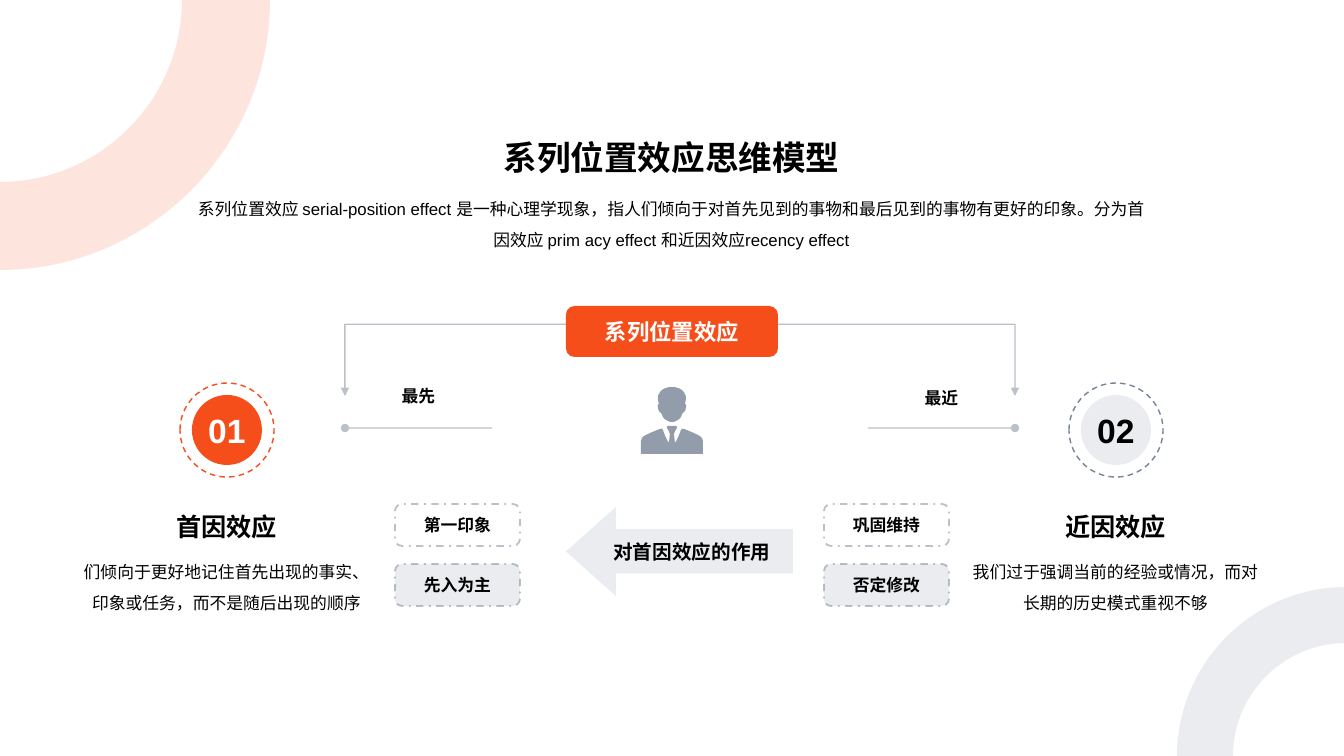
"""Builds the slide on the serial-position effect thinking model."""
from lxml.etree import SubElement
from pptx import Presentation
from pptx.enum.dml import MSO_LINE as DASH
from pptx.enum.shapes import MSO_CONNECTOR as LINK, MSO_SHAPE as SHAPE
from pptx.enum.text import MSO_ANCHOR as ANCHOR, MSO_AUTO_SIZE as FIT, PP_ALIGN as ALIGN
from pptx.dml.color import RGBColor
from pptx.oxml.ns import qn
from pptx.util import Pt

PX = 9072
FINE = 100
ORANGE, SLATE, WHITE, BLACK = "F54E1A", "778495", "FFFFFF", "000000"


def tint(fill, color, opacity=100):
    fill.solid()
    fill.fore_color.rgb = RGBColor.from_string(color)
    if opacity < 100:
        swatch = fill._xPr.find(qn("a:solidFill"))[0]
        SubElement(swatch, qn("a:alpha")).set("val", str(opacity * 1000))


def write(shape, text, size=12, color=BLACK, bold=True, anchor=ANCHOR.MIDDLE, spacing=1.0, wrap=True):
    frame = shape.text_frame
    frame.auto_size = FIT.NONE
    frame.word_wrap = wrap
    frame.vertical_anchor = anchor
    para = frame.paragraphs[0]
    para.alignment = ALIGN.CENTER
    para.line_spacing = spacing
    span = para.add_run()
    span.text = text
    span.font.name = "Arial"
    span.font.size = Pt(size)
    span.font.bold = bold
    tint(span.font.fill, color)


deck = Presentation()
deck.slide_width, deck.slide_height = 1344 * PX, 756 * PX
page = deck.slides.add_slide(deck.slide_layouts[5])
shapes = page.shapes

title = shapes.title
title.left, title.top, title.width, title.height = [v * PX for v in (180, 131, 983, 51)]
write(title, "系列位置效应思维模型", size=24, anchor=ANCHOR.BOTTOM)
intro = shapes.add_textbox(*[v * PX for v in (180, 184, 983, 67)])
write(intro, "系列位置效应 serial-position effect 是一种心理学现象，指人们倾向于对首先见到的事物和最后见到的事物"
      "有更好的印象。分为首因效应 prim acy effect 和近因效应recency effect",
      bold=False, anchor=ANCHOR.TOP, spacing=1.5)

outlines = []
for center_x, center_y, outer, inner, side, color in (
        (1346, 756, 169, 113, -1, SLATE), (0, 0, 270, 182, 1, ORANGE)):
    bend = 0.55
    outer_arc = [(outer, 0), (outer, outer * bend), (outer * bend, outer), (0, outer)]
    inner_arc = [(0, inner), (inner * bend, inner), (inner, inner * bend), (inner, 0)]
    ring = outer_arc + [(0, outer), (0, inner)] + inner_arc
    ring = [(center_x + side * x, center_y + side * y) for x, y in ring]
    outlines.append(([ring], color, 15))

head = [(0, 387), (11, 387), (15, 395), (14, 399), (14, 401), (13, 404), (13, 404),
        (13, 404), (15, 404), (14, 408), (13, 414), (11, 411), (10, 414),
        (10, 417), (7, 420), (4, 421), (3, 422), (1, 422), (0, 422)]
suit = [(0, 426), (0, 426), (4, 426), (4, 426), (6, 426), (5, 428), (5, 428),
        (4, 429), (2, 434), (2, 434), (2, 434), (3, 443), (3, 443),
        (5, 441), (8, 433), (9, 430), (9, 429), (11, 428), (12, 429),
        (12, 429), (20, 432), (26, 435), (30, 437), (31, 439), (31, 441),
        (31, 441), (31, 454), (31, 454), (31, 454), (0, 454), (0, 454)]
person = [[(672 + x, y) for x, y in half] + [(672 - x, y) for x, y in half[-2::-1]]
          for half in (suit, head)]
outlines.append((person, SLATE, 80))

for contours, color, opacity in outlines:
    contours = [[(round(x * FINE), round(y * FINE)) for x, y in contour] for contour in contours]
    builder = shapes.build_freeform(*contours[0][0], scale=PX / FINE)
    for contour in contours:
        if contour is not contours[0]:
            builder.move_to(*contour[0])
        builder.add_line_segments(contour[1:], close=False)
    outline = builder.convert_to_shape()
    steps = list(outline._element.iter(qn("a:lnTo")))
    for first in range(0, len(steps), 3):
        trio = steps[first:first + 3]
        curve = trio[0].makeelement(qn("a:cubicBezTo"))
        trio[0].addprevious(curve)
        for step in trio:
            curve.append(step[0])
            step.getparent().remove(step)
    outline.shadow.inherit = False
    tint(outline.fill, color, opacity)
    outline.line.fill.background()

for kind, ends, tip, turn in (
        (LINK.STRAIGHT, (492, 428, 345, 428), "oval", False),
        (LINK.STRAIGHT, (868, 428, 1015, 428), "oval", False),
        (LINK.ELBOW, (549, 527, 476, 192), "triangle", True),
        (LINK.ELBOW, (884, 192, 811, 527), "triangle", True)):
    link = shapes.add_connector(kind, *[v * PX for v in ends])
    link.line.width = Pt(1)
    tint(link.line.fill, SLATE, 50)
    props = link._element.spPr
    SubElement(props.find(qn("a:ln")), qn("a:tailEnd")).set("type", tip)
    SubElement(props, qn("a:effectLst"))
    if turn:
        props.find(qn("a:xfrm")).set("rot", "16200000")
        guide = SubElement(props.find(qn("a:prstGeom")).find(qn("a:avLst")), qn("a:gd"))
        guide.set("name", "adj1")
        guide.set("fmla", "val 1800")

thin, dotted = (1, DASH.DASH, 100), (1.29, DASH.DASH_DOT, 50)
blocks = [
    (SHAPE.LEFT_ARROW, (566, 507, 227, 89), SLATE, 15, SLATE, None, "对首因效应的作用", dict(size=14)),
    (SHAPE.ROUNDED_RECTANGLE, (566, 306, 212, 51), ORANGE, 100, ORANGE, None, "系列位置效应",
     dict(size=16, color=WHITE, wrap=False))]
for left, upper, lower in ((395, "第一印象", "先入为主"), (824, "巩固维持", "否定修改")):
    for top, opacity, fill, text in ((504, 100, WHITE, upper), (564, 15, SLATE, lower)):
        blocks.append((SHAPE.ROUNDED_RECTANGLE, (left, top, 125, 42), fill, opacity, SLATE, dotted, text, {}))

for shift, number, fill, opacity, edge, ink, name, detail, label, label_at in (
        (0, "01", ORANGE, 100, ORANGE, WHITE, "首因效应",
         "们倾向于更好地记住首先出现的事实、印象或任务，而不是随后出现的顺序", "最先", (381, 375)),
        (889, "02", SLATE, 15, SLATE, BLACK, "近因效应",
         "我们过于强调当前的经验或情况，而对长期的历史模式重视不够", "最近", (904, 377))):
    blocks.append((SHAPE.OVAL, (180, 383, 94, 94), WHITE, 100, edge, thin, "", {}))
    blocks.append((SHAPE.OVAL, (192, 395, 70, 70), fill, opacity, edge, None, number,
                   dict(size=24, color=ink, wrap=False)))
    for index in (-2, -1):
        kind, (left, top, width, height), *rest = blocks[index]
        blocks[index] = (kind, (left + shift, top, width, height), *rest)
    blocks.append((SHAPE.ROUNDED_RECTANGLE, (*label_at, 75, 42), None, 100, edge, None, label, {}))
    for top, height, text, style in (
            (489, 58, name, dict(size=18, anchor=ANCHOR.BOTTOM)),
            (547, 119, detail, dict(bold=False, anchor=ANCHOR.TOP, spacing=1.5))):
        column = shapes.add_textbox(*[v * PX for v in (72 + shift, top, 309, height)])
        write(column, text, **style)

for kind, box, fill, opacity, edge, stroke, text, style in blocks:
    block = shapes.add_shape(kind, *[v * PX for v in box])
    block.shadow.inherit = False
    if fill:
        tint(block.fill, fill, opacity)
    else:
        block.fill.background()
        block.adjustments[0] = 0
    if kind == SHAPE.LEFT_ARROW:
        block.adjustments[1] = 0.56
    if stroke:
        width, dash, edge_opacity = stroke
        tint(block.line.fill, edge, edge_opacity)
        block.line.width = Pt(width)
        block.line.dash_style = dash
    else:
        block.line.fill.background()
    if text:
        write(block, text, **style)

deck.save("out.pptx")
